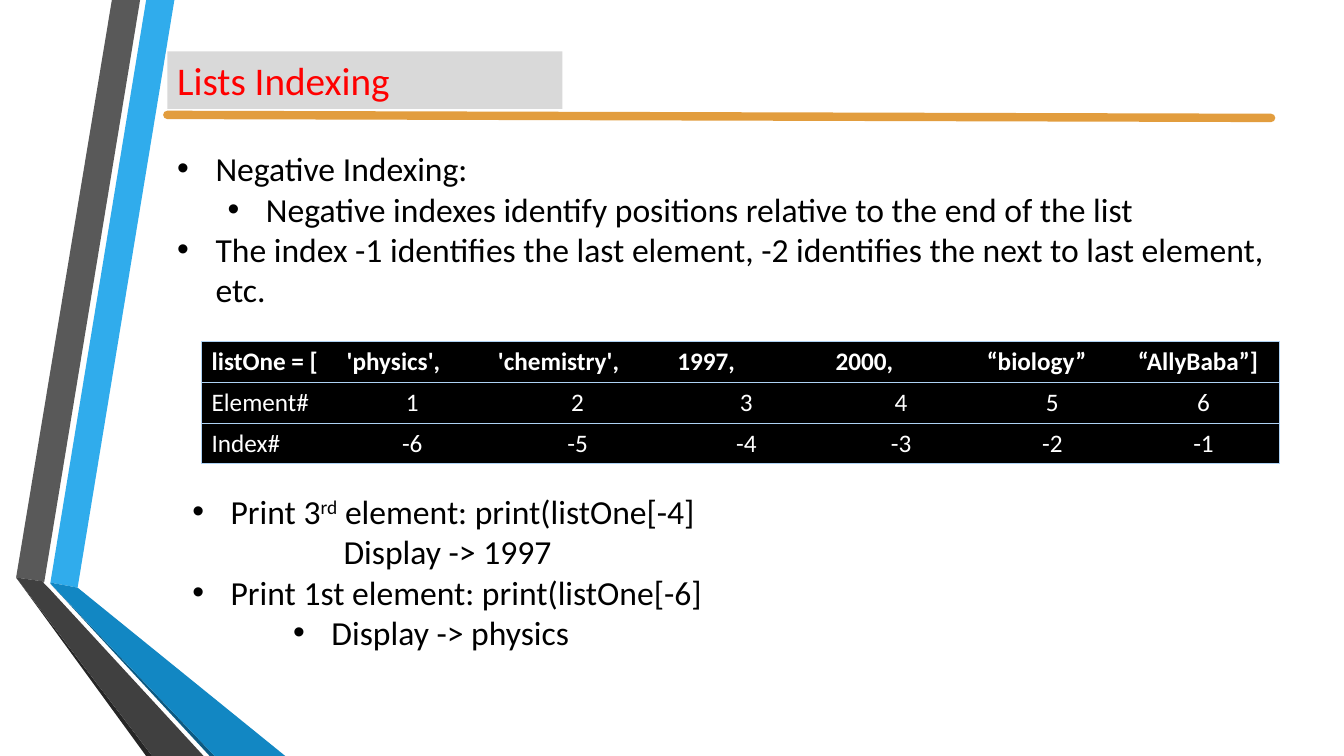
from lxml.etree import SubElement
from pptx import Presentation
from pptx.dml.color import RGBColor
from pptx.enum.shapes import MSO_CONNECTOR, MSO_SHAPE
from pptx.enum.text import MSO_ANCHOR, PP_ALIGN
from pptx.oxml.ns import qn
from pptx.util import Emu, Inches, Pt

COLUMNS, ROWS = 160, 90
BLACK, WHITE = "000000", "FFFFFF"
TABLE_BLUE = "AED2F4"
PLAIN_TABLE = "{2D5ABB26-0587-4C30-8999-92F81FD0307C}"

RIBBONS = [
    ("30ACEC", [(6, 69.36), (9.24, 69.96), (20.76, 0), (17.4, 0)]),
    ("595959", [(16.68, 0), (13.32, 0), (1.92, 68.76), (5.28, 69.24)]),
    ("262626", [(1.92, 68.76), (17.4, 90), (18.12, 90)]),
    ("0C5A82", [(6, 69.48), (24.96, 90), (25.56, 90)]),
    ("1287C3", [(6, 69.48), (25.56, 90), (33.96, 90), (9.24, 69.96), (6, 69.36)]),
    ("404040", [(24.24, 90), (5.76, 69.96), (5.16, 69.36), (5.28, 69.24),
                (1.92, 68.76), (18.12, 90)]),
]
INDEXING_RULES = [
    ("Negative Indexing:", dict(left=0.38, hanging=0.38)),
    ("Negative indexes identify positions relative to the end of the list",
     dict(level=1, left=0.88, hanging=0.38)),
    ("The index -1 identifies the last element, -2 identifies the next to last element, etc.",
     dict(left=0.38, hanging=0.38)),
]
PRINT_EXAMPLES = [
    ("Print 3^rd^ element: print(listOne[-4]", dict(left=0.38, hanging=0.38)),
    ("Display -> 1997", dict(level=3, left=1.5)),
    ("Print 1st element: print(listOne[-6]", dict(left=0.38, hanging=0.38)),
    ("Display -> physics", dict(level=2, left=1.38, hanging=0.38)),
]
LIST_ITEMS = ["'physics',", "'chemistry',", "1997,", "2000,", "“biology”", "“AllyBaba”]"]
COUNT = len(LIST_ITEMS)
LIST_TABLE = [
    ["listOne = [", *LIST_ITEMS],
    ["Element#", *[str(number) for number in range(1, COUNT + 1)]],
    ["Index#", *[str(index) for index in range(-COUNT, 0)]],
]
TABLE_COLUMNS = [16.08, 18, 21.36, 18.84, 18, 18, 18]


def color(value):
    return RGBColor.from_string(value)


def write(paragraph, text, size=24, ink=BLACK, bold=False, align=PP_ALIGN.LEFT,
          level=0, left=0, hanging=0, font="Calibri"):
    paragraph.alignment = align
    paragraph.level = level
    properties = paragraph._p.get_or_add_pPr()
    properties.set("marL", str(Inches(left)))
    properties.set("indent", str(-Inches(hanging)))
    if hanging:
        SubElement(properties, qn("a:buFont"), typeface="Arial")
        SubElement(properties, qn("a:buChar"), char="•")
    else:
        SubElement(properties, qn("a:buNone"))
    for position, part in enumerate(text.split("^")):
        run = paragraph.add_run()
        run.text = part
        run.font.name, run.font.size, run.font.bold = font, Pt(size), bold
        run.font.color.rgb = color(ink)
        if position % 2:
            run.font._element.set("baseline", "30000")


class GridSlide:
    """Draws styled elements on one slide, measured in grid columns and rows."""

    def __init__(self, presentation):
        self.slide = presentation.slides.add_slide(presentation.slide_layouts[6])
        self.shapes = self.slide.shapes
        self.column = presentation.slide_width / COLUMNS
        self.row = presentation.slide_height / ROWS
        self.slide.background.fill.solid()
        self.slide.background.fill.fore_color.rgb = color(WHITE)

    def place(self, *lengths):
        units = (self.column, self.row) * 2
        return [Emu(round(length * unit)) for length, unit in zip(lengths, units)]

    def paint(self, shape, fill):
        shape.shadow.inherit = False
        shape.fill.solid()
        shape.fill.fore_color.rgb = color(fill)
        shape.line.fill.background()

    def ribbon(self, fill, corners):
        start, *others = [self.place(*corner) for corner in corners]
        builder = self.shapes.build_freeform(*start)
        builder.add_line_segments(others, close=True)
        self.paint(builder.convert_to_shape(), fill)

    def title(self, text, box, fill, ink):
        shape = self.shapes.add_shape(MSO_SHAPE.RECTANGLE, *self.place(*box))
        self.paint(shape, fill)
        shape.text_frame.vertical_anchor = MSO_ANCHOR.MIDDLE
        write(shape.text_frame.paragraphs[0], text, size=28, ink=ink)

    def rule(self, ends, ink, width):
        line = self.shapes.add_connector(MSO_CONNECTOR.STRAIGHT, *self.place(*ends))
        line.line.color.rgb = color(ink)
        line.line.width = Pt(width)
        line.line._get_or_add_ln().set("cap", "rnd")
        SubElement(line._element.spPr, qn("a:effectLst"))

    def bullets(self, lines, box):
        frame = self.shapes.add_textbox(*self.place(*box)).text_frame
        frame.word_wrap = True
        for number, (text, layout) in enumerate(lines):
            paragraph = frame.add_paragraph() if number else frame.paragraphs[0]
            write(paragraph, text, **layout)

    def border(self, cell, sides):
        for side in sides:
            line = SubElement(cell._tc.get_or_add_tcPr(), qn(f"a:ln{side}"), w=str(Pt(0.75)))
            SubElement(SubElement(line, qn("a:solidFill")), qn("a:srgbClr"), val=TABLE_BLUE)

    def table(self, values, widths, left, top, row_height):
        box = self.place(left, top, sum(widths), row_height * len(values))
        table = self.shapes.add_table(len(values), len(widths), *box).table
        table._tbl.tblPr.find(qn("a:tableStyleId")).text = PLAIN_TABLE
        table.horz_banding = False
        for column, width in zip(table.columns, widths):
            column.width = self.place(width)[0]
        for r, texts in enumerate(values):
            table.rows[r].height = self.place(0, row_height)[1]
            for c, text in enumerate(texts):
                cell = table.cell(r, c)
                outer = {0: "L", len(widths) - 1: "R"}.get(c, "")
                self.border(cell, outer + "TB")
                cell.fill.solid()
                cell.fill.fore_color.rgb = color(BLACK)
                align = PP_ALIGN.CENTER if r and c else PP_ALIGN.LEFT
                write(cell.text_frame.paragraphs[0], text, size=18, ink=WHITE,
                      bold=r == 0, align=align)


def main():
    presentation = Presentation()
    presentation.slide_width, presentation.slide_height = Inches(13.33), Inches(7.5)
    page = GridSlide(presentation)
    for fill, corners in RIBBONS:
        page.ribbon(fill, corners)
    page.title("Lists Indexing", (19.92, 6.12, 47.04, 6.84), "D9D9D9", "FF0000")
    page.rule((19.92, 13.68, 151.32, 14.04), "E29D3E", 6)
    page.bullets(INDEXING_RULES, (19.92, 17.04, 136.2, 20.64))
    page.table(LIST_TABLE, TABLE_COLUMNS, 24, 40.68, 4.85)
    page.bullets(PRINT_EXAMPLES, (21.72, 57.84, 136.2, 25.44))
    presentation.save("out.pptx")


if __name__ == "__main__":
    main()
